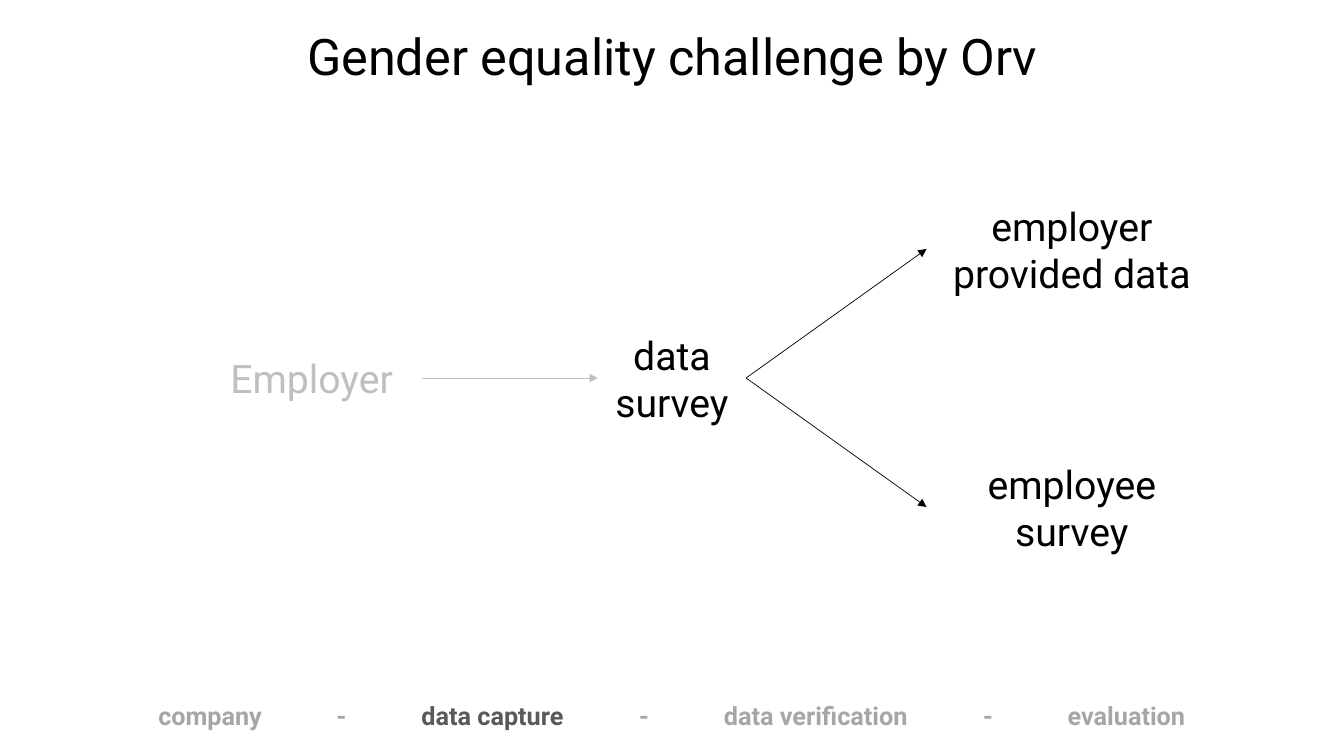
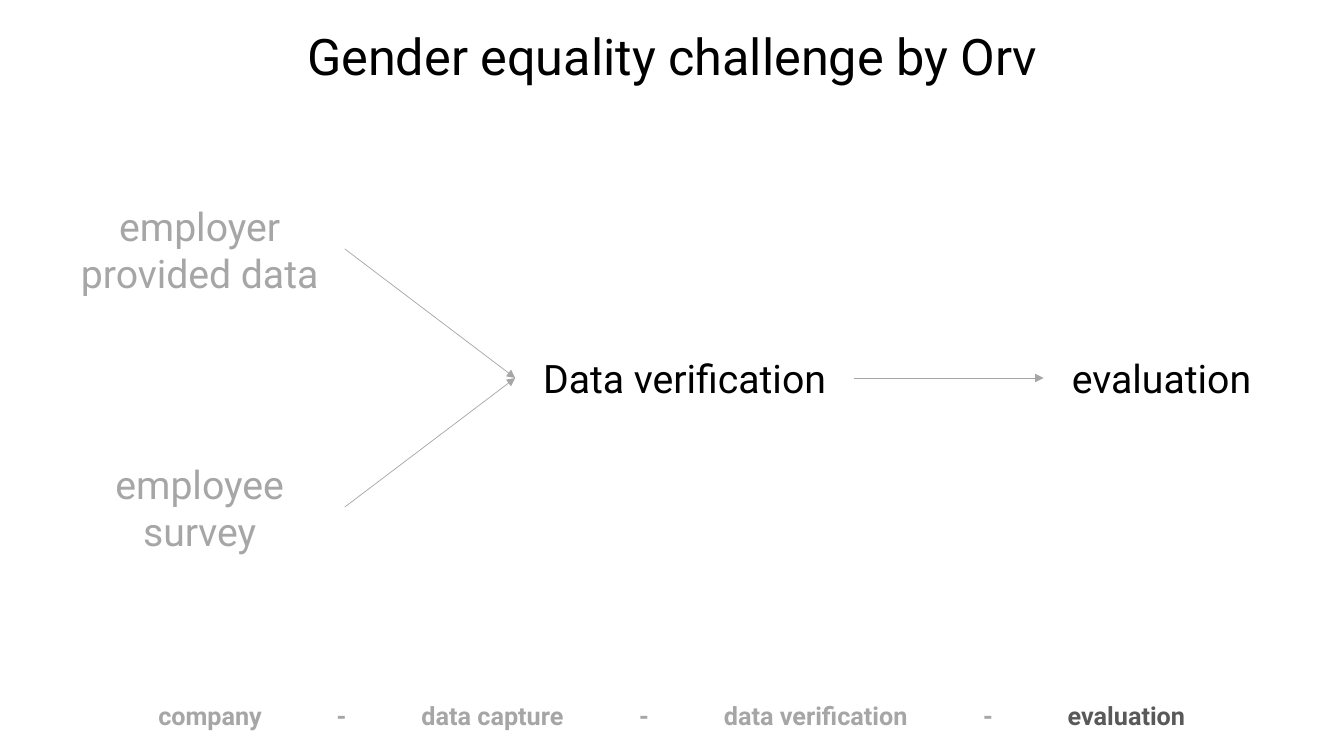
from collections import namedtuple
from dataclasses import dataclass

from lxml import etree
from pptx import Presentation
from pptx.dml.color import RGBColor
from pptx.enum.shapes import MSO_CONNECTOR
from pptx.enum.text import MSO_ANCHOR, PP_ALIGN
from pptx.oxml.ns import qn
from pptx.util import Inches, Pt

LINE = MSO_CONNECTOR.STRAIGHT
MIDDLE, TOP = MSO_ANCHOR.MIDDLE, MSO_ANCHOR.TOP
CENTER, LEFT = PP_ALIGN.CENTER, PP_ALIGN.LEFT


@dataclass(frozen=True)
class Theme:
    font: str = "Roboto"
    black: str = "000000"
    dark: str = "595959"
    gray: str = "A6A6A6"
    pale: str = "BFBFBF"
    title: int = 36
    body: int = 28
    foot: int = 18
    line: float = 0.5


THEME = Theme()
Box = namedtuple("Box", "x y w h")

HEAD = Box(0.9, 0.2, 11.54, 0.71)
FLOW = Box(0, 1.95, 13.33, 3.6)
FOOT = Box(0.27, 6.9, 12.8, 0.4)

# Footer steps with their text widths
STEPS = [("company", 1.02), ("data capture", 1.41),
         ("data verification", 1.82), ("evaluation", 1.17)]
INDENT, GAP, DASH = 1.3, 0.75, 0.84

# Heights of one-line and two-line nodes; rise of a branch from the middle
HEIGHTS = {1: 0.57, 2: 1.04}
RISE = 1.28


def style(run, size, color, bold=False):
    font = run.font
    font.name, font.size, font.bold = THEME.font, Pt(size), bold
    font.color.rgb = RGBColor.from_string(color)


def frame(slide, box, anchor):
    shape = slide.shapes.add_textbox(*map(Inches, box))
    text = shape.text_frame
    text.word_wrap = True
    text.vertical_anchor = anchor
    return text


def label(slide, box, words, size, color, anchor=MIDDLE):
    text = frame(slide, box, anchor)
    text.text = words
    for para in text.paragraphs:
        para.alignment = CENTER
        for run in para.runs:
            style(run, size, color)


def arrow(slide, start, end, color):
    """Join the right edge of one node to the left edge of the next."""
    ends = (start.x + start.w, start.y + start.h / 2,
            end.x, end.y + end.h / 2)
    link = slide.shapes.add_connector(LINE, *map(Inches, ends))
    link.line.width = Pt(THEME.line)
    link.line.fill.solid()
    link.line.fill.fore_color.rgb = RGBColor.from_string(color)
    etree.SubElement(link.line._get_or_add_ln(), qn("a:tailEnd"), type="triangle")
    etree.SubElement(link._element.spPr, qn("a:effectLst"))


def header(slide, box):
    label(slide, box, "Gender equality challenge by Orv",
          THEME.title, THEME.black, TOP)


def footer(slide, box, active):
    text = frame(slide, box, MIDDLE)
    text.margin_left = Inches(0.1 + INDENT - 0.1)
    para = text.paragraphs[0]
    para.alignment = LEFT
    # Each step but the last is followed by a dash and the next step
    tabs = etree.SubElement(para._p.get_or_add_pPr(), qn("a:tabLst"))
    at = 0
    for _, width in STEPS[:-1]:
        for move in (width + GAP, DASH):
            at += move
            etree.SubElement(tabs, qn("a:tab"), pos=str(Inches(at)), algn="l")
    for i, (name, _) in enumerate(STEPS):
        if i:
            dash = para.add_run()
            dash.text = "\t-\t"
            style(dash, THEME.foot, THEME.gray, True)
        run = para.add_run()
        run.text = name
        style(run, THEME.foot, THEME.dark if name == active else THEME.gray, True)


def flow(slide, box, nodes, links):
    """Nodes: name -> (left, width, level, colour, text); level -1 is up."""
    spots = {}
    for name, (left, width, level, color, words) in nodes.items():
        high = HEIGHTS[len(words.split("\n"))]
        mid = box.y + box.h / 2 + level * RISE
        spots[name] = Box(box.x + left, mid - high / 2, width, high)
        label(slide, spots[name], words, THEME.body, color)
    for start, end, color in links:
        arrow(slide, spots[start], spots[end], color)


def pair(left, color):
    """The two data sources, one above the other."""
    return {"data": (left, 2.88, -1, color, "employer\nprovided data"),
            "staff": (left, 2.88, 1, color, "employee\nsurvey")}


SLIDES = [
    ("data capture",
     {"boss": (1.99, 2.2, 0, THEME.pale, "Employer"),
      "survey": (5.93, 1.47, 0, THEME.black, "data\nsurvey"),
      **pair(9.19, THEME.black)},
     [("boss", "survey", THEME.pale),
      ("survey", "data", THEME.black),
      ("survey", "staff", THEME.black)]),
    ("evaluation",
     {**pair(0.54, THEME.gray),
      "check": (5.11, 3.36, 0, THEME.black, "Data verification"),
      "result": (10.35, 2.34, 0, THEME.black, "evaluation")},
     [("data", "check", THEME.gray),
      ("staff", "check", THEME.gray),
      ("check", "result", THEME.gray)]),
]


def main():
    deck = Presentation()
    deck.slide_width, deck.slide_height = Inches(13.33), Inches(7.5)
    for active, nodes, links in SLIDES:
        slide = deck.slides.add_slide(deck.slide_layouts[6])
        header(slide, HEAD)
        flow(slide, FLOW, nodes, links)
        footer(slide, FOOT, active)
    deck.save("out.pptx")


if __name__ == "__main__":
    main()
